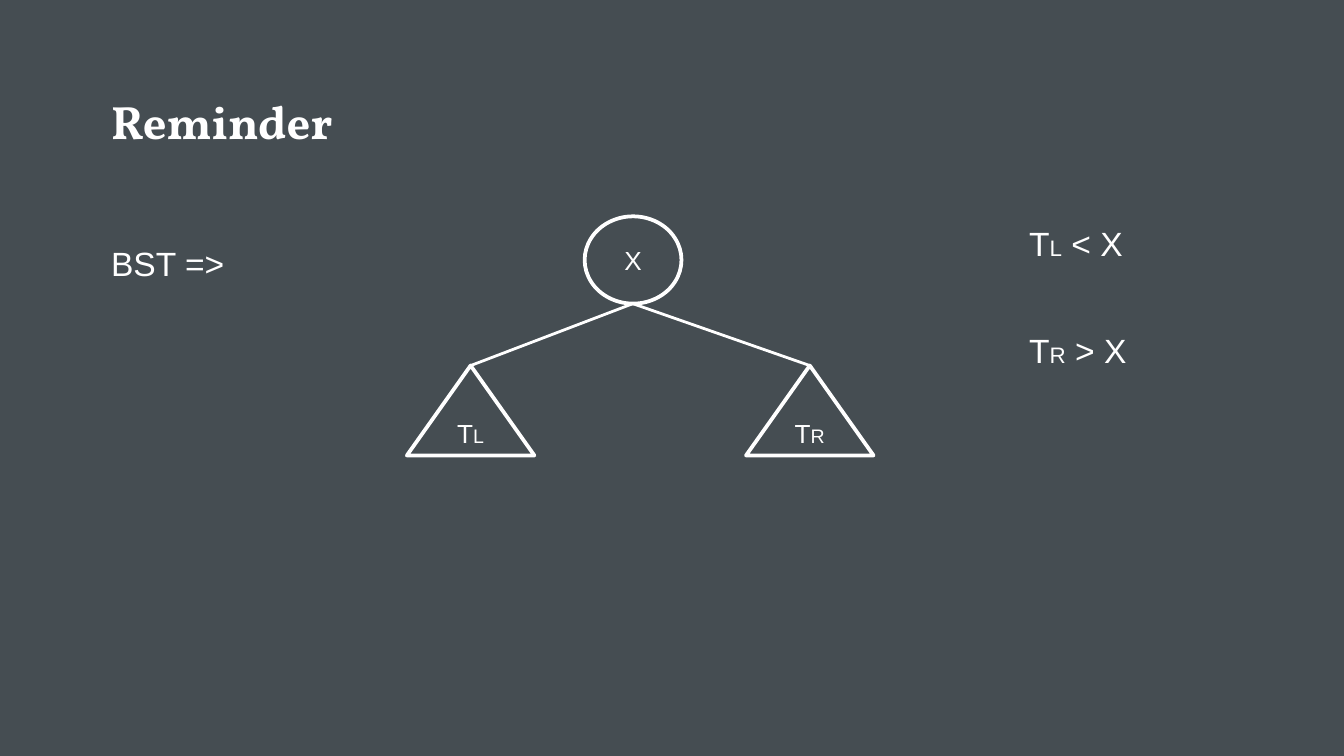
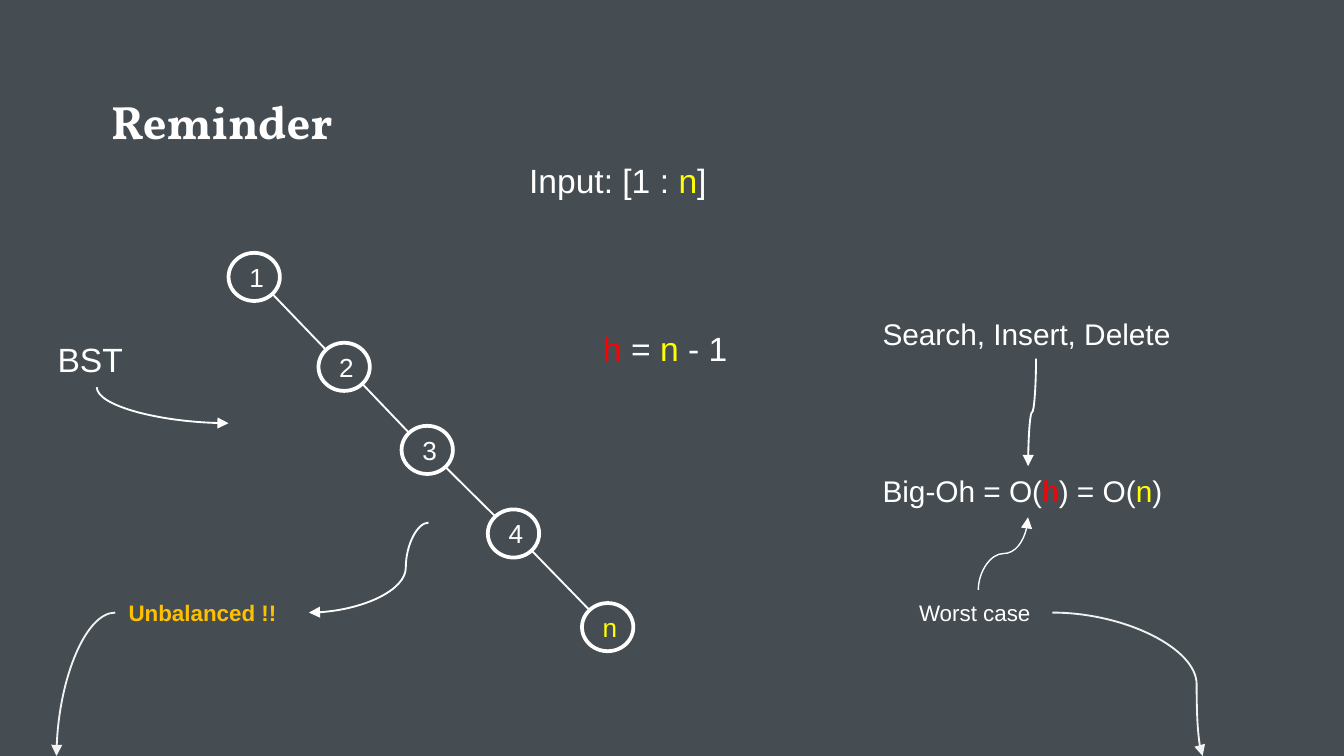
from lxml.etree import SubElement
from pptx import Presentation
from pptx.dml.color import RGBColor as Rgb
from pptx.enum.shapes import MSO_CONNECTOR as Conn, MSO_SHAPE as Form
from pptx.enum.text import MSO_ANCHOR as Anchor, MSO_AUTO_SIZE as Auto, PP_ALIGN as Align
from pptx.oxml.ns import qn
from pptx.util import Cm, Pt

HUES = {"back": "454D52", "white": "FFFFFF", "pale": "F2F2F2",
        "red": "FF0000", "yellow": "FFFF00", "gold": "FFC000"}


def put(slide, form, box, parts, size, anchor=Anchor.TOP, wrap=True, bold=None):
    """Add an outlined shape, or a text box if form is None.

    Each part is (text,), (text, hue) or (text, hue, size).
    """
    box = [Cm(v) for v in box]
    if form is None:
        shape = slide.shapes.add_textbox(*box)
    else:
        shape = slide.shapes.add_shape(form, *box)
        shape.shadow.inherit = False
        shape.fill.background()
        shape.line.color.rgb = Rgb.from_string(HUES["white"])
        shape.line.width = Pt(2)
    frame = shape.text_frame
    look = {"word_wrap": wrap, "vertical_anchor": anchor,
            "auto_size": Auto.NONE if form else Auto.SHAPE_TO_FIT_TEXT}
    for name, value in look.items():
        setattr(frame, name, value)
    para = frame.paragraphs[0]
    para.alignment = Align.CENTER if form else Align.LEFT
    for text, *rest in parts:
        hue, pts = (rest + ["white", size][len(rest):])
        run = para.add_run()
        run.text = text
        for name, value in {"name": "Arial", "size": Pt(pts), "bold": bold}.items():
            setattr(run.font, name, value)
        run.font.color.rgb = Rgb.from_string(HUES[hue])
    return shape


def link(slide, start, stop, width, hue="white", bend=None, turn=False, adj=None):
    """Add a straight line, or a curved arrow if bend names its preset.

    With turn the curve leaves its start vertically: it is laid out
    sideways about its centre and rotated by 90 degrees.
    """
    (x1, y1), (x2, y2) = start, stop
    if turn:
        mx, my, dx, dy = (x1 + x2) / 2, (y1 + y2) / 2, x2 - x1, y2 - y1
        x1, y1, x2, y2 = mx - dy / 2, my + dx / 2, mx + dy / 2, my - dx / 2
    kind = Conn.CURVE if bend else Conn.STRAIGHT
    line = slide.shapes.add_connector(kind, Cm(x1), Cm(y1), Cm(x2), Cm(y2))
    line.line.color.rgb = Rgb.from_string(HUES[hue])
    line.line.width = Pt(width)
    props = line.element.spPr
    if bend:
        geom = props.find(qn("a:prstGeom"))
        geom.set("prst", bend)
        if adj is not None:
            SubElement(geom.find(qn("a:avLst")), qn("a:gd"),
                       name="adj1", fmla=f"val {round(adj * 100000)}")
        SubElement(props.find(qn("a:ln")), qn("a:tailEnd"), type="triangle")
    if turn:
        props.find(qn("a:xfrm")).set("rot", "5400000")
    SubElement(props, qn("a:effectLst"))
    return line


deck = Presentation()
deck.slide_width, deck.slide_height = Cm(25.4), Cm(14.29)
ground = deck.slide_master.background.fill
ground.solid()
ground.fore_color.rgb = Rgb.from_string(HUES["back"])

slides = [deck.slides.add_slide(deck.slide_layouts[5]) for _ in range(2)]
for slide in slides:
    title = slide.shapes.title
    place = {"left": 1.85, "top": 1.5, "width": 21.69, "height": 1.52}
    for name, value in place.items():
        setattr(title, name, Cm(value))
    frame = title.text_frame
    frame.text = "Reminder"
    frame.auto_size = Auto.NONE
    frame.vertical_anchor = Anchor.TOP
    for side in ("left", "top", "right", "bottom"):
        setattr(frame, f"margin_{side}", Cm(0.25))
    para = frame.paragraphs[0]
    para.alignment = Align.LEFT
    font = para.runs[0].font
    for name, value in {"name": "Vollkorn", "size": Pt(25), "bold": True}.items():
        setattr(font, name, value)
    font.color.rgb = Rgb.from_string(HUES["white"])

# Search tree rule
rule, chain = slides
put(rule, None, (1.85, 4.47, 3.4, 1.02), [("BST =>",)], 18, Anchor.MIDDLE)
put(rule, Form.OVAL, (11.05, 4.09, 1.83, 1.65), [("X",)], 14, Anchor.MIDDLE)
for side, sign, left, top in (("L", "<", 7.69, 4.09), ("R", ">", 14.1, 6.12)):
    tree = put(rule, Form.ISOSCELES_TRIANGLE, (left, 6.91, 2.41, 1.7),
               [("T",), (side, "white", 10.5)], 14, Anchor.MIDDLE)
    edge = link(rule, (11.96, 5.74), (left + 1.2, 6.91), 1.5)
    edge.end_connect(tree, 0)
    put(rule, None, (19.2, top, 3.3, 1.02),
        [("T",), (side, "white", 12), (f" {sign} X",)], 18)

# Unbalanced chain
wide, high = 0.97, 0.91
nodes = [("1", 4.32, 4.78), ("2", 6.02, 6.48), ("3", 7.59, 8.05),
         ("4", 9.22, 9.63), ("n", 11, 11.4)]
for text, x, y in nodes:
    hue = "yellow" if text == "n" else "white"
    put(chain, Form.OVAL, (x, y, wide, high), [(text, hue)], 14, Anchor.MIDDLE)
near, far = (1 - 0.5 ** 0.5) / 2, (1 + 0.5 ** 0.5) / 2
for (_, x1, y1), (_, x2, y2) in zip(nodes, nodes[1:]):
    link(chain, (x1 + far * wide, y1 + far * high),
         (x2 + near * wide, y2 + near * high), 1)

put(chain, None, (9.75, 2.9, 3.89, 1.02),
    [("Input: [1 : ",), ("n", "yellow"), ("]",)], 18, wrap=False)
put(chain, None, (11.15, 6.07, 3, 1.02),
    [("h", "red"), (" = ",), ("n", "yellow"), (" - 1",)], 18)
put(chain, None, (16.43, 5.84, 6.3, 0.94), [("Search, Insert, Delete",)], 16)
put(chain, None, (16.43, 8.81, 6.02, 0.94),
    [("Big-Oh = O(",), ("h", "red"), (") = O(",), ("n", "yellow"), (")",)], 16)
put(chain, None, (0.84, 6.27, 1.98, 1.02), [("BST",)], 18, Anchor.MIDDLE)
put(chain, None, (17.12, 11.2, 2.77, 0.76), [("Worst case",)], 12)
put(chain, None, (2.18, 11.2, 3.4, 0.76), [("Unbalanced !!", "gold")], 12, bold=True)

ARC, WAVE = "curvedConnector2", "curvedConnector3"
for start, stop, width, hue, bend, turn, adj in (
        ((18.49, 11.15), (19.43, 9.78), 0.75, "white", WAVE, True, 0.5),
        ((8.1, 9.88), (5.84, 11.58), 1, "white", WAVE, False, 0.19),
        ((19.89, 11.58), (22.73, 14.29), 1, "pale", WAVE, False, 0.96),
        ((2.18, 11.58), (1.07, 14.29), 1, "pale", ARC, False, None),
        ((1.83, 7.32), (4.32, 8), 1, "white", ARC, True, None),
        ((19.58, 6.78), (19.43, 8.81), 1, "white", WAVE, True, 0.5)):
    link(chain, start, stop, width, hue, bend, turn, adj)

deck.save("out.pptx")
